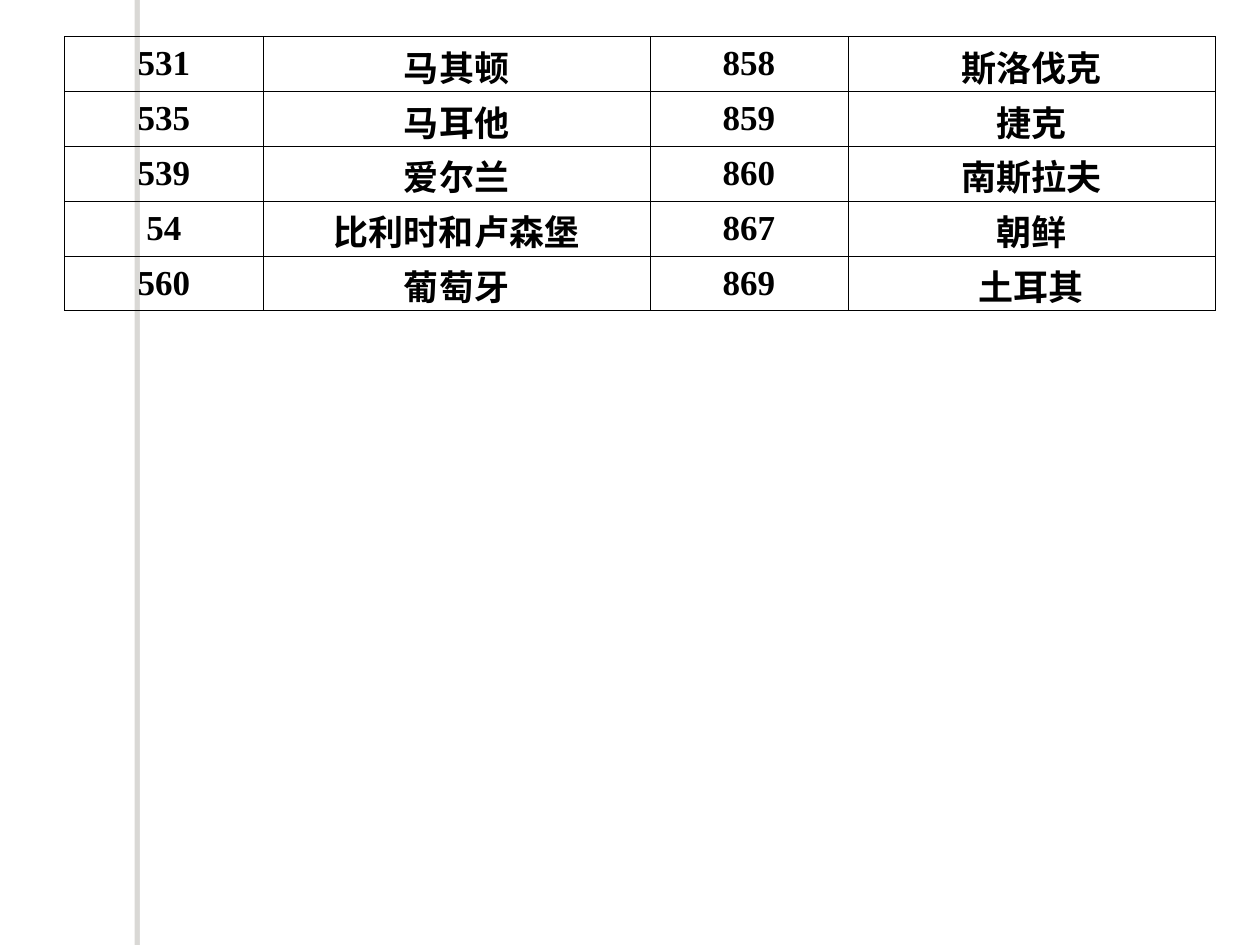
from lxml import etree
from pptx import Presentation
from pptx.dml.color import RGBColor
from pptx.enum.shapes import MSO_SHAPE
from pptx.enum.text import MSO_ANCHOR, PP_ALIGN
from pptx.oxml import parse_xml
from pptx.oxml.ns import nsdecls, qn
from pptx.util import Pt


def color(value):
    return RGBColor.from_string(value)


deck = Presentation()
deck.slide_width, deck.slide_height = Pt(720), Pt(540)
slide = deck.slides.add_slide(deck.slide_layouts[6])

stripe = slide.shapes.add_shape(MSO_SHAPE.RECTANGLE, Pt(80), Pt(0), Pt(5.75), Pt(540))
stripe.fill.solid()
stripe.fill.fore_color.rgb = color("FFFFFF")
stripe.line.fill.background()
stripe.shadow.inherit = False
effects = stripe.element.spPr.find(qn("a:effectLst"))
effects.append(parse_xml(
    f'<a:outerShdw {nsdecls("a")} blurRad="0" dist="{Pt(3)}" dir="10800000" '
    'algn="ctr" rotWithShape="0"><a:srgbClr val="706B5F">'
    '<a:alpha val="25000"/></a:srgbClr></a:outerShdw>'
))

country_codes = [
    ("531", "马其顿", "858", "斯洛伐克"),
    ("535", "马耳他", "859", "捷克"),
    ("539", "爱尔兰", "860", "南斯拉夫"),
    ("54", "比利时和卢森堡", "867", "朝鲜"),
    ("560", "葡萄牙", "869", "土耳其"),
]
column_widths = [113.4, 221.1, 113.1, 209.7]
row_height = 31.35
code_font = {"name": "Times New Roman", "size": Pt(20), "bold": True}
code_margins = {"margin_top": Pt(3.6), "margin_bottom": Pt(3.6)}
country_margins = {"margin_top": Pt(2.3), "margin_bottom": Pt(0)}

codes = slide.shapes.add_table(
    len(country_codes), len(column_widths), Pt(37), Pt(20.8),
    Pt(sum(column_widths)), Pt(row_height * len(country_codes)),
).table
codes.first_row = codes.horz_banding = False
for column, width in zip(codes.columns, column_widths):
    column.width = Pt(width)

for row, entries in zip(codes.rows, country_codes):
    row.height = Pt(row_height)
    for cell, entry in zip(row.cells, entries):
        cell.text = entry
        cell.vertical_anchor = MSO_ANCHOR.MIDDLE
        margins = code_margins if entry.isdigit() else country_margins
        for key, value in margins.items():
            setattr(cell, key, value)
        paragraph = cell.text_frame.paragraphs[0]
        paragraph.alignment = PP_ALIGN.CENTER
        font = paragraph.runs[0].font
        for key, value in code_font.items():
            setattr(font, key, value)
        font.color.rgb = color("000000")
        properties = cell._tc.get_or_add_tcPr()
        for side in ("lnL", "lnR", "lnT", "lnB"):
            border = etree.SubElement(properties, qn(f"a:{side}"), w=str(Pt(0.45)))
            ink = etree.SubElement(border, qn("a:solidFill"))
            etree.SubElement(ink, qn("a:srgbClr"), val="000000")
        cell.fill.background()

deck.save("out.pptx")
